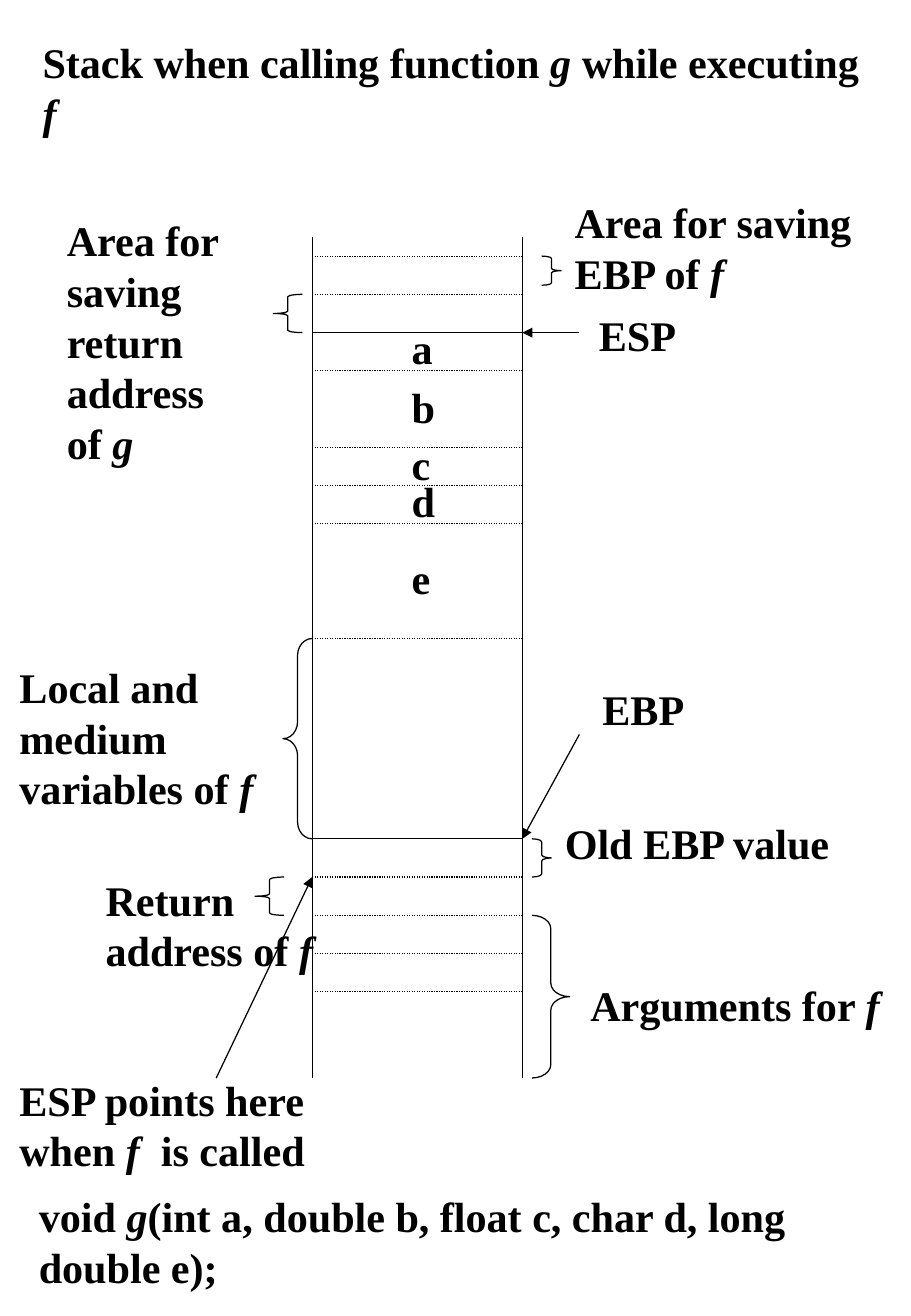
"""Build a slide showing the call stack when function f calls function g."""
from lxml.etree import SubElement
from pptx import Presentation
from pptx.dml.color import RGBColor
from pptx.enum.dml import MSO_LINE
from pptx.enum.shapes import MSO_CONNECTOR, MSO_SHAPE
from pptx.enum.text import MSO_ANCHOR, MSO_AUTO_SIZE, PP_ALIGN
from pptx.oxml.ns import qn
from pptx.util import Inches, Pt

COLORS = {"ink": "000000", "paper": "FFFFFF"}
INK = RGBColor.from_string(COLORS["ink"])
FONT = "Times New Roman"
ROW = 0.315
STACK_LEFT, STACK_RIGHT = 2.57, 4.3
STACK_TOP, STACK_BOTTOM = 1.95, 8.88
CALLEE_TOP, CALLER_TOP = 2.11, 6.91
ESP_LEVEL = CALLEE_TOP + 2 * ROW
RETURN_LEVEL = CALLER_TOP + ROW
ARGUMENTS_LEVEL = CALLER_TOP + 2 * ROW
LOCALS_LEVEL = CALLEE_TOP + 10 * ROW


def write(label, text):
    """Fill a label; asterisks enclose italic pieces, newlines split paragraphs."""
    frame = label.text_frame
    frame.word_wrap = True
    frame.auto_size = MSO_AUTO_SIZE.SHAPE_TO_FIT_TEXT
    frame.vertical_anchor = MSO_ANCHOR.TOP
    frame.margin_left = frame.margin_right = Inches(0.11)
    frame.margin_top = frame.margin_bottom = Inches(0.05)
    for number, line in enumerate(text.split("\n")):
        paragraph = frame.add_paragraph() if number else frame.paragraphs[0]
        paragraph.alignment = PP_ALIGN.LEFT
        for position, piece in enumerate(line.split("*")):
            if piece:
                run = paragraph.add_run()
                run.text = piece
                run.font.name = FONT
                run.font.size = Pt(25)
                run.font.bold = True
                run.font.italic = position % 2 == 1
                run.font.color.rgb = INK


def rule(x1, y1, x2, y2, dotted=False, arrow=False):
    """Draw a thin line, optionally dotted or with an arrowhead at its end."""
    connector = slide.shapes.add_connector(
        MSO_CONNECTOR.STRAIGHT, Inches(x1), Inches(y1), Inches(x2), Inches(y2))
    connector.line.color.rgb = INK
    connector.line.width = Pt(0.75)
    if dotted:
        connector.line.dash_style = MSO_LINE.ROUND_DOT
    if arrow:
        SubElement(connector.line._get_or_add_ln(), qn("a:tailEnd"), type="triangle")
    SubElement(connector._element.spPr, qn("a:effectLst"))


presentation = Presentation()
presentation.slide_width = Inches(7.5)
presentation.slide_height = Inches(10.84)
slide = presentation.slides.add_slide(presentation.slide_layouts[5])
slide.background.fill.solid()
slide.background.fill.fore_color.rgb = RGBColor.from_string(COLORS["paper"])

heading = slide.shapes.title
heading.left, heading.top = Inches(0.24), Inches(0.25)
heading.width, heading.height = Inches(6.97), Inches(0.94)
write(heading, "Stack when calling function *g *while executing *f*")

for side in (STACK_LEFT, STACK_RIGHT):
    rule(side, STACK_TOP, side, STACK_BOTTOM)

for area_top, rows in ((CALLEE_TOP, (0, 1, 2, 3, 5, 6, 7, 10)),
                       (CALLER_TOP, (0, 1, 2, 3, 4))):
    for row in rows:
        level = area_top + row * ROW
        rule(STACK_LEFT, level, STACK_RIGHT, level,
             dotted=level not in (ESP_LEVEL, CALLER_TOP))

rule(4.77, ESP_LEVEL, STACK_RIGHT, ESP_LEVEL, arrow=True)
rule(4.77, 6.05, STACK_RIGHT, CALLER_TOP, arrow=True)
rule(1.78, STACK_BOTTOM, STACK_LEFT, RETURN_LEVEL, arrow=True)

braces = (
    (MSO_SHAPE.LEFT_BRACE, 2.25, CALLEE_TOP + ROW, 0.24, ROW, 0.08),
    (MSO_SHAPE.LEFT_BRACE, 2.33, LOCALS_LEVEL, 0.24, CALLER_TOP - LOCALS_LEVEL, 0.58),
    (MSO_SHAPE.LEFT_BRACE, 2.1, RETURN_LEVEL, 0.24, ROW, 0.08),
    (MSO_SHAPE.RIGHT_BRACE, 4.46, CALLEE_TOP, 0.16, 0.24, 0.12),
    (MSO_SHAPE.RIGHT_BRACE, 4.38, CALLER_TOP, 0.16, ROW, 0.16),
    (MSO_SHAPE.RIGHT_BRACE, 4.38, ARGUMENTS_LEVEL, 0.31,
     STACK_BOTTOM - ARGUMENTS_LEVEL, 0.36),
)
for kind, left, top, width, height, curve in braces:
    brace = slide.shapes.add_shape(
        kind, Inches(left), Inches(top), Inches(width), Inches(height))
    brace.shadow.inherit = False
    brace.fill.background()
    brace.line.color.rgb = INK
    brace.line.width = Pt(0.75)
    brace.adjustments[0] = curve

labels = [
    ("Area for saving return address of *g*", 0.44, 1.72, 1.62, 2.19),
    ("Area for saving EBP of *f*", 4.62, 1.57, 2.75, 0.94),
    ("ESP", 4.82, 2.5, 1, 0.52),
    ("Local and medium variables of *f*", 0.05, 5.4, 2.21, 1.36),
    ("EBP", 4.85, 5.58, 1, 0.52),
    ("Old EBP value", 4.54, 6.68, 2.75, 0.52),
    ("Return\naddress of *f*", 0.76, 7.15, 2.57, 0.94),
    ("Arguments for *f*", 4.75, 8.02, 2.75, 0.52),
    ("ESP points here\nwhen *f  *is called", 0.05, 8.8, 2.7, 0.94),
    ("void *g*(int a, double b, float c, char d, long double e);",
     0.21, 9.76, 6.97, 0.94),
]
for argument, top in zip("abcde", (2.61, 3.09, 3.56, 3.87, 4.5)):
    labels.append((argument, 3.28, top, 0.39, 0.52))
for text, left, top, width, height in labels:
    label = slide.shapes.add_textbox(
        Inches(left), Inches(top), Inches(width), Inches(height))
    write(label, text)

presentation.save("out.pptx")
